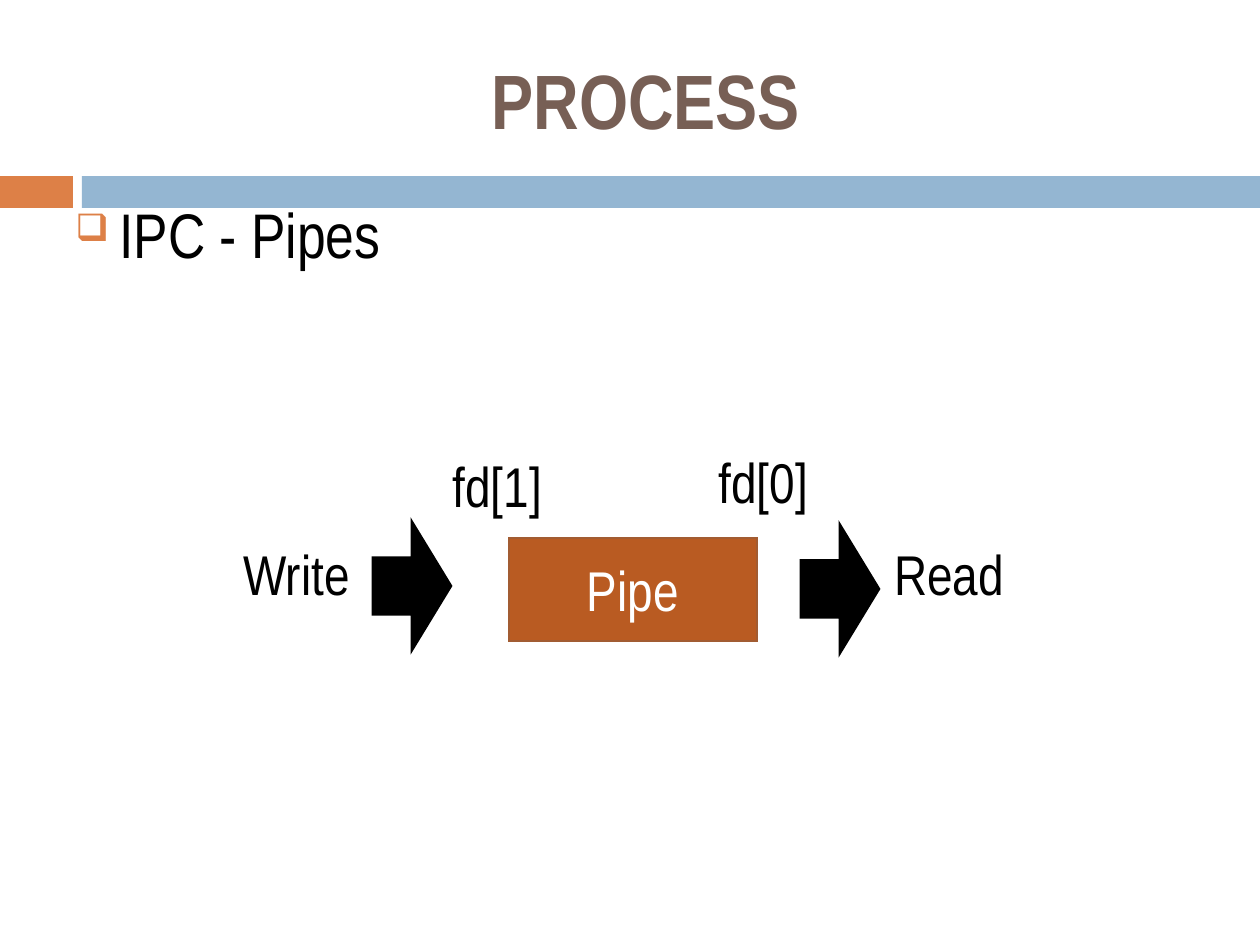
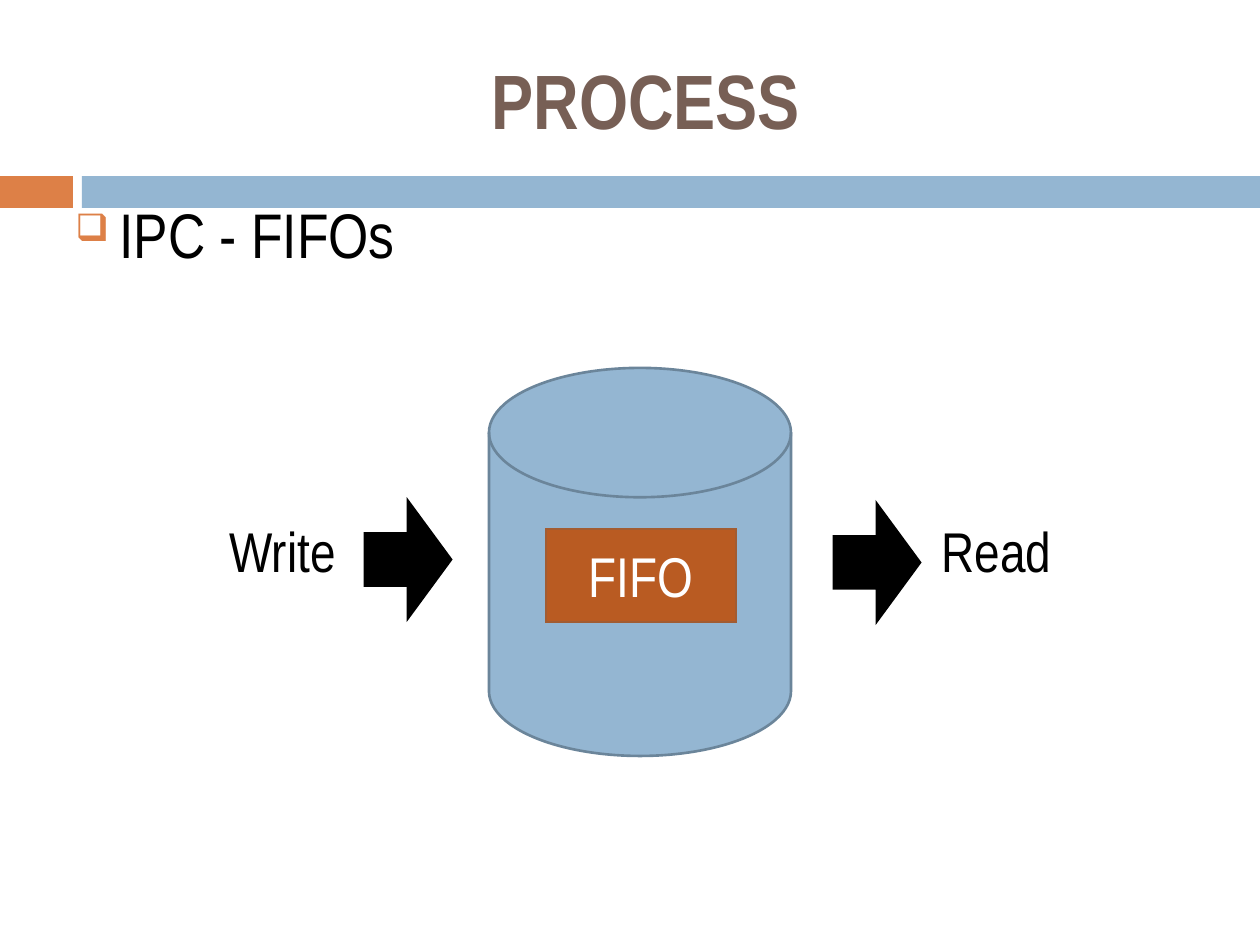
from lxml import etree
from pptx import Presentation
from pptx.dml.color import RGBColor
from pptx.enum.shapes import MSO_SHAPE
from pptx.enum.text import MSO_ANCHOR, MSO_AUTO_SIZE, PP_ALIGN
from pptx.oxml.ns import qn
from pptx.util import Emu, Pt

RECT, ARROW = MSO_SHAPE.RECTANGLE, MSO_SHAPE.RIGHT_ARROW
DISK = MSO_SHAPE.FLOWCHART_MAGNETIC_DISK
TOP, MIDDLE = MSO_ANCHOR.TOP, MSO_ANCHOR.MIDDLE
LEFT, CENTER = PP_ALIGN.LEFT, PP_ALIGN.CENTER

FONT = "Arial Narrow"
COLORS = {
    "black": "000000",
    "white": "FFFFFF",
    "title": "775F55",
    "orange": "DD8047",
    "blue": "94B6D2",
    "blue_edge": "6B859A",
    "rust": "B95B22",
    "rust_edge": "A25C32",
}
WIDTH, HEIGHT = 1260, 945
TITLE_BOX = (84, 31, 1124, 136)
BODY_BOX = (63, 189, 1145, 693)
BANDS = [((0, 176, 73, 32), "orange"), ((82, 176, 1178, 32), "blue")]


def px(n):
    return Emu(round(n * 914400 / 126))


def rgb(name):
    return RGBColor.from_string(COLORS[name])


def within(box, x, y, w, h):
    """Shift a part into the box that holds it."""
    return box[0] + x, box[1] + y, w, h


def write(sp, text, size=32, color="black", bold=False, align=LEFT,
          anchor=TOP, wrap=True):
    tf = sp.text_frame
    tf.auto_size = MSO_AUTO_SIZE.NONE
    tf.word_wrap = wrap
    tf.vertical_anchor = anchor
    p = tf.paragraphs[0]
    p.alignment = align
    r = p.add_run()
    r.text = text
    r.font.name = FONT
    r.font.size = Pt(size)
    r.font.bold = bold
    r.font.color.rgb = rgb(color)
    return p


def add_shape(s, kind, box, fill, edge=None):
    sp = s.shapes.add_shape(kind, *map(px, box))
    sp.shadow.inherit = False
    sp.fill.solid()
    sp.fill.fore_color.rgb = rgb(fill)
    if edge:
        sp.line.color.rgb = rgb(edge)
        sp.line.width = Pt(1.5)
        ln = sp.line.fill._xPr
        etree.SubElement(ln, qn("a:miter"), lim="800000")
    else:
        sp.line.fill.background()
    return sp


def add_label(s, box, text):
    write(s.shapes.add_textbox(*map(px, box)), text, wrap=False)


def add_block(s, box, text):
    sp = add_shape(s, RECT, box, "rust", "rust_edge")
    write(sp, text, color="white", align=CENTER, anchor=MIDDLE)


def add_arrow(s, box):
    sp = add_shape(s, ARROW, box, "black", "black")
    sp.adjustments[0] = 0.443
    sp.adjustments[1] = 0.5


def add_title(s, box, text):
    sp = s.shapes.title
    sp.left, sp.top, sp.width, sp.height = map(px, box)
    write(sp, text, size=44, color="title", bold=True, align=CENTER,
          anchor=MIDDLE)


def add_heading(s, box, text):
    p = write(s.shapes.add_textbox(*map(px, box)), text, size=36)
    p.space_before = Pt(7)
    pPr = p._p.get_or_add_pPr()
    pPr.set("marL", str(px(44)))
    pPr.set("indent", str(-px(44)))
    color = etree.SubElement(pPr, qn("a:buClr"))
    etree.SubElement(color, qn("a:srgbClr"), val=COLORS["orange"])
    etree.SubElement(pPr, qn("a:buSzPct"), val="60000")
    etree.SubElement(pPr, qn("a:buChar"), char="❑")


def add_topic_slide(prs, heading):
    """Bands, title and bulleted heading shared by the slides."""
    s = prs.slides.add_slide(prs.slide_layouts[5])
    for box, fill in BANDS:
        add_shape(s, RECT, box, fill)
    add_title(s, TITLE_BOX, "PROCESS")
    add_heading(s, BODY_BOX, heading)
    return s


def add_flow(s, box, block, block_box, arrows, labels):
    """Block with its arrows and text labels."""
    add_block(s, within(box, *block_box), block)
    for arrow_box in arrows:
        add_arrow(s, within(box, *arrow_box))
    for text, label_box in labels:
        add_label(s, within(box, *label_box), text)


def pipe_diagram(s, box):
    add_flow(s, box, "Pipe", (278, 97, 248, 103),
             arrows=[(142, 81, 78, 128), (570, 84, 78, 128)],
             labels=[("Read", (651, 92, 136, 107)),
                     ("Write", (0, 92, 134, 107)),
                     ("fd[1]", (209, 4, 134, 107)),
                     ("fd[0]", (475, 0, 134, 107))])


def fifo_diagram(s, box):
    disk_box = within(box, 272, 0, 302, 388)
    add_shape(s, DISK, disk_box, "blue", "blue_edge")
    add_flow(s, box, "FIFO", (329, 161, 190, 93),
             arrows=[(148, 133, 86, 117), (617, 136, 86, 117)],
             labels=[("Read", (712, 142, 135, 81)),
                     ("Write", (0, 142, 132, 81))])


def main():
    prs = Presentation()
    prs.slide_width, prs.slide_height = px(WIDTH), px(HEIGHT)
    pipe_diagram(add_topic_slide(prs, "IPC - Pipes"), (231, 441, 787, 212))
    fifo_diagram(add_topic_slide(prs, "IPC - FIFOs"), (217, 368, 847, 388))
    prs.save("out.pptx")


if __name__ == "__main__":
    main()
